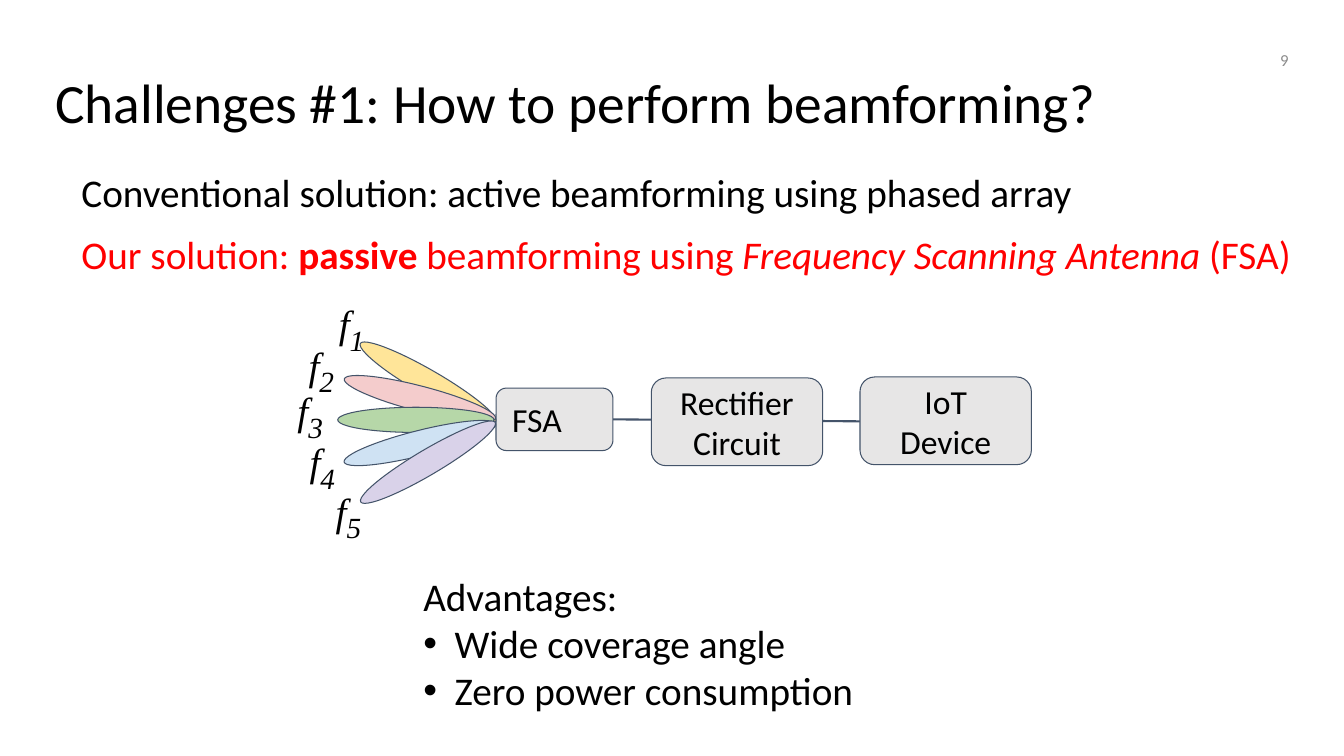
from lxml import etree
from pptx import Presentation
from pptx.dml.color import RGBColor
from pptx.enum.shapes import MSO_CONNECTOR, MSO_SHAPE
from pptx.enum.text import MSO_ANCHOR, PP_ALIGN
from pptx.oxml.ns import qn
from pptx.util import Inches, Pt


def color(hex_string):
    return RGBColor.from_string(hex_string)


def write(shape, paragraphs, size, inset=(0.1, 0.05), anchor=MSO_ANCHOR.TOP,
          align=PP_ALIGN.LEFT, ink="000000", font="Calibri"):
    """Fill a shape with paragraphs, each a list of (text, format values) runs."""
    frame = shape.text_frame
    side, end = map(Inches, inset)
    values = {"word_wrap": True, "vertical_anchor": anchor, "margin_left": side,
              "margin_right": side, "margin_top": end, "margin_bottom": end}
    for name, value in values.items():
        setattr(frame, name, value)
    for index, runs in enumerate(paragraphs):
        paragraph = frame.paragraphs[0] if index == 0 else frame.add_paragraph()
        paragraph.alignment = align
        for text, extra in runs:
            run = paragraph.add_run()
            run.text = text
            run.font.color.rgb = color(ink)
            for name, value in {"name": font, "size": Pt(size), **extra}.items():
                setattr(run.font, name, value)
    return frame


presentation = Presentation()
presentation.slide_width = Inches(13.33)
presentation.slide_height = Inches(7.5)
slide = presentation.slides.add_slide(presentation.slide_layouts[6])
shapes = slide.shapes

# Line running behind the blocks
wire = shapes.add_connector(MSO_CONNECTOR.STRAIGHT, Inches(6.04), Inches(4.16),
                            Inches(8.53), Inches(4.18))
wire.line.color.rgb = color("44546A")
wire.line.width = Pt(1.5)
etree.SubElement(wire._element.spPr, qn("a:effectLst"))

# Title and slide number
title = shapes.add_textbox(Inches(0.45), Inches(0.65), Inches(12.42), Inches(0.84))
frame = write(title, [[("Challenges #1: How to perform beamforming?", {})]], 39.6, (0.1, 0.1))
frame.paragraphs[0].line_spacing = 0.9
number = shapes.add_textbox(Inches(12.08), Inches(0.31), Inches(0.8), Inches(0.57))
write(number, [[("9", {})]], 12, (0.1, 0.1), MSO_ANCHOR.MIDDLE, PP_ALIGN.RIGHT, "8C8C8C")

# The two solutions
solutions = [
    (1.62, 11.15, "000000",
     [("Conventional solution: active beamforming using phased array", {})]),
    (2.24, 12.45, "FF0000",
     [("Our solution: ", {}), ("passive", {"bold": True}), (" beamforming using ", {}),
      ("Frequency Scanning Antenna ", {"italic": True}), ("(FSA)", {})]),
]
for top, width, ink, runs in solutions:
    box = shapes.add_textbox(Inches(0.71), Inches(top), Inches(width), Inches(0.57))
    write(box, [runs], 28, ink=ink)

# Advantages with bullets
advantages = shapes.add_textbox(Inches(4.1), Inches(5.63), Inches(5.59), Inches(1.51))
lines = ["Advantages:", "Wide coverage angle", "Zero power consumption"]
frame = write(advantages, [[(line, {})] for line in lines], 28)
for paragraph in frame.paragraphs[1:]:
    properties = paragraph._p.get_or_add_pPr()
    properties.set("marL", str(Inches(0.31)))
    properties.set("indent", str(-Inches(0.31)))
    etree.SubElement(properties, qn("a:buFont")).set("typeface", "Arial")
    etree.SubElement(properties, qn("a:buChar")).set("char", "•")

# Blocks and beams: preset, left, top, width, height, rotation, fill
GRAY = "E7E6E6"
blocks = [
    (4.92, 3.85, 1.16, 0.62, ["FSA"], PP_ALIGN.LEFT),
    (6.46, 3.75, 1.7, 0.87, ["Rectifier", "Circuit"], PP_ALIGN.CENTER),
    (8.53, 3.74, 1.7, 0.87, ["IoT Device"], PP_ALIGN.CENTER),
]
beams = [
    (4.12, 3.02, 300, "FFE599"),
    (4.04, 3.18, 284.6, "F4CCCC"),
    (4.0, 3.39, 270, "B6D7A8"),
    (4.04, 3.62, 255.9, "CFE2F3"),
    (4.12, 3.81, 239.4, "D9D2E9"),
]
outlines = [(MSO_SHAPE.ROUNDED_RECTANGLE, *block[:4], 0, GRAY) for block in blocks]
outlines += [(MSO_SHAPE.OVAL, left, top, 0.25, 1.55, turn, fill)
             for left, top, turn, fill in beams]
drawn = []
for preset, left, top, width, height, turn, fill in outlines:
    shape = shapes.add_shape(preset, Inches(left), Inches(top), Inches(width), Inches(height))
    shape.rotation = turn
    shape.shadow.inherit = False
    shape.fill.solid()
    shape.fill.fore_color.rgb = color(fill)
    shape.line.color.rgb = color("44546A")
    shape.line.width = Pt(0.75)
    drawn.append(shape)

# Block names
for shape, (*_, names, align) in zip(drawn, blocks):
    write(shape, [[(name, {})] for name in names], 24, (0.13, 0.13), MSO_ANCHOR.MIDDLE, align)

# Frequency labels
label_places = [(3.23, 2.73), (2.93, 3.14), (2.82, 3.59), (2.94, 4.1), (3.2, 4.59)]
for index, (left, top) in enumerate(label_places, start=1):
    label = shapes.add_textbox(Inches(left), Inches(top), Inches(0.58), Inches(0.88))
    runs = [("f", {"italic": True}), (str(index), {"italic": True, "size": Pt(36)})]
    frame = write(label, [runs], 28, (0.13, 0.13), font="Times New Roman")
    frame.paragraphs[0].runs[1].font._element.set("baseline", "-25000")

presentation.save("out.pptx")
